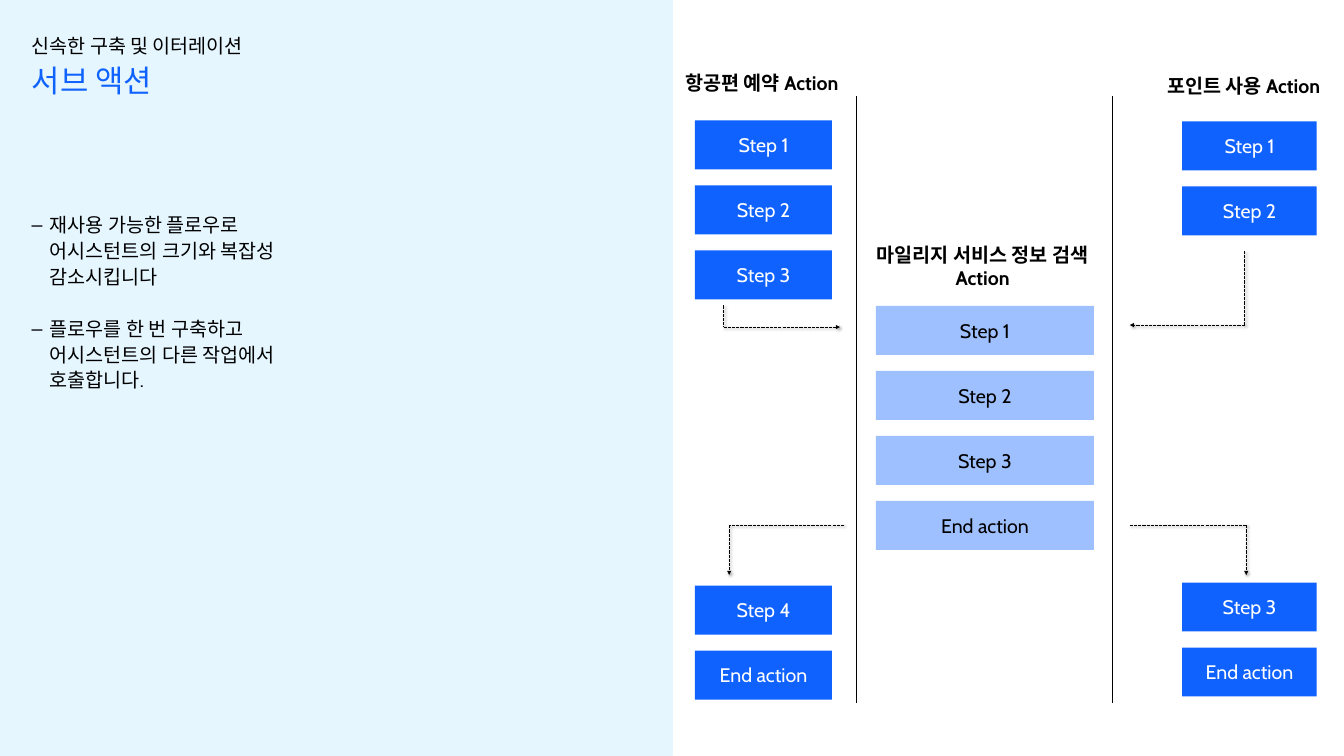
"""Build the sub-action slide: two actions calling one shared action."""
from lxml import etree
from pptx import Presentation
from pptx.dml.color import RGBColor
from pptx.enum.dml import MSO_LINE
from pptx.enum.shapes import MSO_CONNECTOR, MSO_SHAPE
from pptx.enum.text import MSO_ANCHOR, MSO_AUTO_SIZE, PP_ALIGN
from pptx.oxml import parse_xml
from pptx.oxml.ns import qn
from pptx.util import Inches, Pt

RECTANGLE = MSO_SHAPE.RECTANGLE
STRAIGHT = MSO_CONNECTOR.STRAIGHT
DASHED = MSO_LINE.SQUARE_DOT
TOP, MIDDLE = MSO_ANCHOR.TOP, MSO_ANCHOR.MIDDLE
LEFT, CENTER = PP_ALIGN.LEFT, PP_ALIGN.CENTER
NO_FIT = MSO_AUTO_SIZE.NONE

BLACK = RGBColor(0x00, 0x00, 0x00)
WHITE = RGBColor(0xFF, 0xFF, 0xFF)
BLUE = RGBColor(0x0F, 0x62, 0xFE)
LIGHT_BLUE = RGBColor(0x9F, 0xC0, 0xFF)
PALE_BLUE = RGBColor(0xE5, 0xF6, 0xFF)

FONT = "Cabin"
SIZE = 28
WIDTH, HEIGHT = 26.67, 15
ROW_PITCH, BOX_HEIGHT = 1.29, 0.97
LINE_HEIGHT = 1.1
SHADOW = (
    '<a:effectLst xmlns:a="http://schemas.openxmlformats.org/drawingml/2006/main">'
    '<a:outerShdw blurRad="50800" dist="38100" dir="2700000" algn="tl">'
    '<a:srgbClr val="000000"><a:alpha val="40000"/></a:srgbClr>'
    "</a:outerShdw></a:effectLst>"
)


def add_run(paragraph, text, color, size=SIZE, bold=False):
    run = paragraph.add_run()
    run.text = text
    run.font.name = FONT
    run.font.size = Pt(size)
    run.font.bold = bold
    run.font.color.rgb = color


def add_line(start, end):
    line = slide.shapes.add_connector(STRAIGHT, *map(Inches, start + end))
    line.line.color.rgb = BLACK
    line.line.width = Pt(1.5)
    return line


presentation = Presentation()
presentation.slide_width = Inches(WIDTH)
presentation.slide_height = Inches(HEIGHT)
slide = presentation.slides.add_slide(presentation.slide_layouts[1])
title, body = slide.placeholders

panel = slide.shapes.add_shape(RECTANGLE, 0, 0, Inches(WIDTH / 2), Inches(HEIGHT))
panel.shadow.inherit = False
panel.fill.solid()
panel.fill.fore_color.rgb = PALE_BLUE
panel.line.color.rgb = PALE_BLUE
panel.line.width = Pt(1.5)
slide.shapes._spTree.remove(panel._element)
slide.shapes._spTree.insert(2, panel._element)

for placeholder, top, height in [(title, 0.63, 1.67), (body, 4.18, 8.87)]:
    placeholder.left, placeholder.top = Inches(0.63), Inches(top)
    placeholder.width, placeholder.height = Inches(5.41), Inches(height)
    frame = placeholder.text_frame
    frame.margin_left = frame.margin_right = frame.margin_top = frame.margin_bottom = 0
    frame.vertical_anchor = TOP
    frame.auto_size = NO_FIT
    frame.word_wrap = True

paragraph = title.text_frame.paragraphs[0]
paragraph.alignment = LEFT
paragraph.line_spacing = LINE_HEIGHT
add_run(paragraph, "신속한 구축 및 이터레이션", BLACK)
paragraph.add_line_break()
add_run(paragraph, "서브 액션", BLUE, 44)

points = [
    "재사용 가능한 플로우로 어시스턴트의 크기와 복잡성 감소시킵니다",
    "플로우를 한 번 구축하고 어시스턴트의 다른 작업에서 호출합니다.",
]
for index, text in enumerate(points):
    paragraph = body.text_frame.add_paragraph() if index else body.text_frame.paragraphs[0]
    properties = paragraph._p.get_or_add_pPr()
    properties.set("marL", str(Inches(0.36)))
    properties.set("indent", str(Inches(-0.36)))
    etree.SubElement(properties, qn("a:buChar")).set("char", "–")
    paragraph.line_spacing = LINE_HEIGHT
    paragraph.space_before = Pt(37 * index)
    add_run(paragraph, text, BLACK)

headings = [
    ("항공편 예약 Action", 13.22, 1.34, 3.8, 0.58),
    ("포인트 사용 Action", 22.92, 1.41, 3.52, 0.58),
    ("마일리지 서비스 정보 검색 Action", 17.31, 4.76, 4.38, 1.05),
]
for text, *place in headings:
    heading = slide.shapes.add_textbox(*map(Inches, place))
    frame = heading.text_frame
    frame.word_wrap = True
    frame.vertical_anchor = MIDDLE
    frame.margin_left = frame.margin_right = Inches(0.06)
    frame.margin_top = frame.margin_bottom = Inches(0.06)
    frame.paragraphs[0].alignment = CENTER
    add_run(frame.paragraphs[0], text, BLACK, bold=True)

booking = (13.79, 2.72, BLUE, WHITE)
points_use = (23.46, 2.67, BLUE, WHITE)
mileage = (17.38, 4.33, LIGHT_BLUE, BLACK)
stacks = [
    (booking, 2.39, ["Step 1", "Step 2", "Step 3"]),
    (booking, 11.62, ["Step 4", "End action"]),
    (mileage, 6.07, ["Step 1", "Step 2", "Step 3", "End action"]),
    (points_use, 2.41, ["Step 1", "Step 2"]),
    (points_use, 11.56, ["Step 3", "End action"]),
]
for (left, width, fill, color), top, steps in stacks:
    for row, text in enumerate(steps):
        box = slide.shapes.add_shape(
            RECTANGLE, Inches(left), Inches(top + row * ROW_PITCH),
            Inches(width), Inches(BOX_HEIGHT))
        box.shadow.inherit = False
        box.fill.solid()
        box.fill.fore_color.rgb = fill
        box.line.fill.background()
        frame = box.text_frame
        frame.vertical_anchor = MIDDLE
        frame.paragraphs[0].alignment = CENTER
        add_run(frame.paragraphs[0], text, color)

routes = [
    [(14.36, 6.06), (14.36, 6.49), (16.67, 6.49)],
    [(24.7, 4.98), (24.7, 6.45), (22.42, 6.45)],
    [(16.75, 10.42), (14.47, 10.42), (14.47, 11.41)],
    [(22.42, 10.42), (24.73, 10.42), (24.73, 11.41)],
]
for start, corner, end in routes:
    for first, last in [(start, corner), (corner, end)]:
        segment = add_line(first, last)
        segment.line.dash_style = DASHED
        if last == end:
            arrowhead = etree.SubElement(segment.line._get_or_add_ln(), qn("a:tailEnd"))
            arrowhead.set("type", "triangle")
        segment._element.spPr.append(parse_xml(SHADOW))

for x in (16.99, 22.07):
    divider = add_line((x, 1.9), (x, 13.94))
    etree.SubElement(divider._element.spPr, qn("a:effectLst"))

presentation.save("out.pptx")
